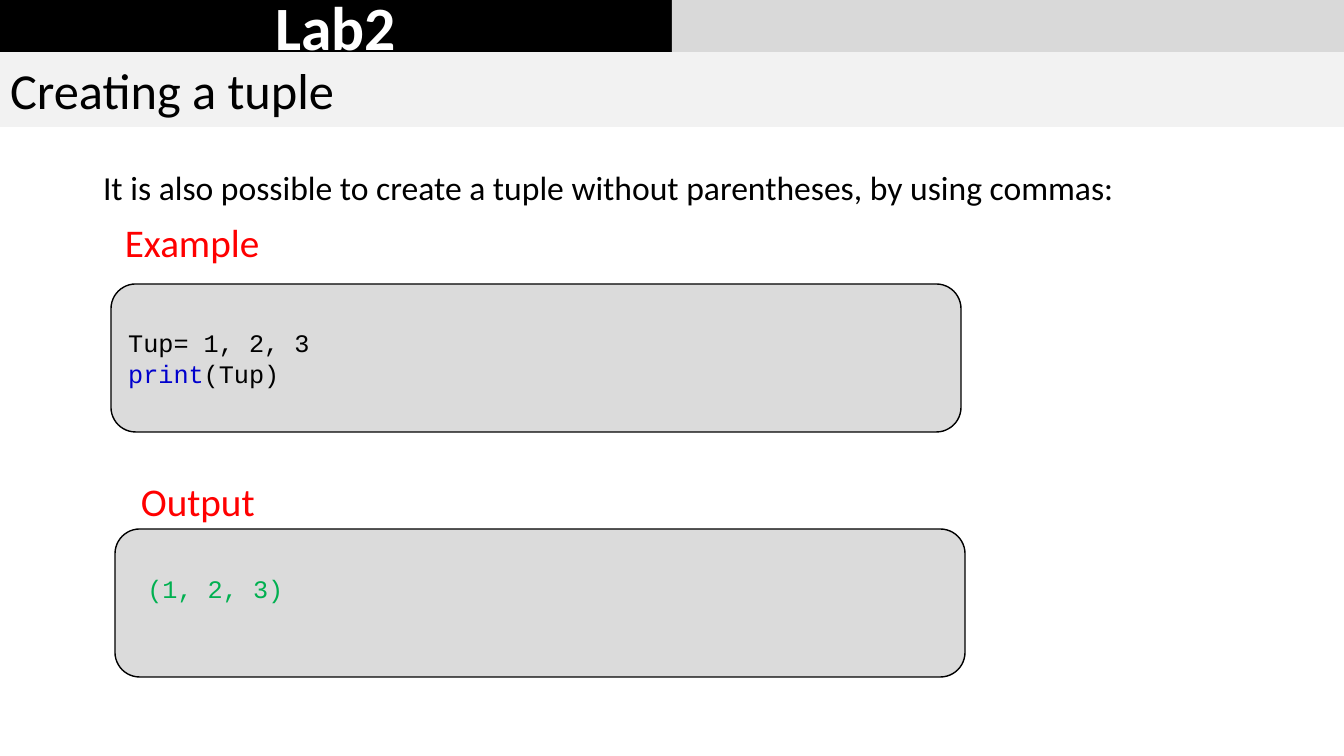
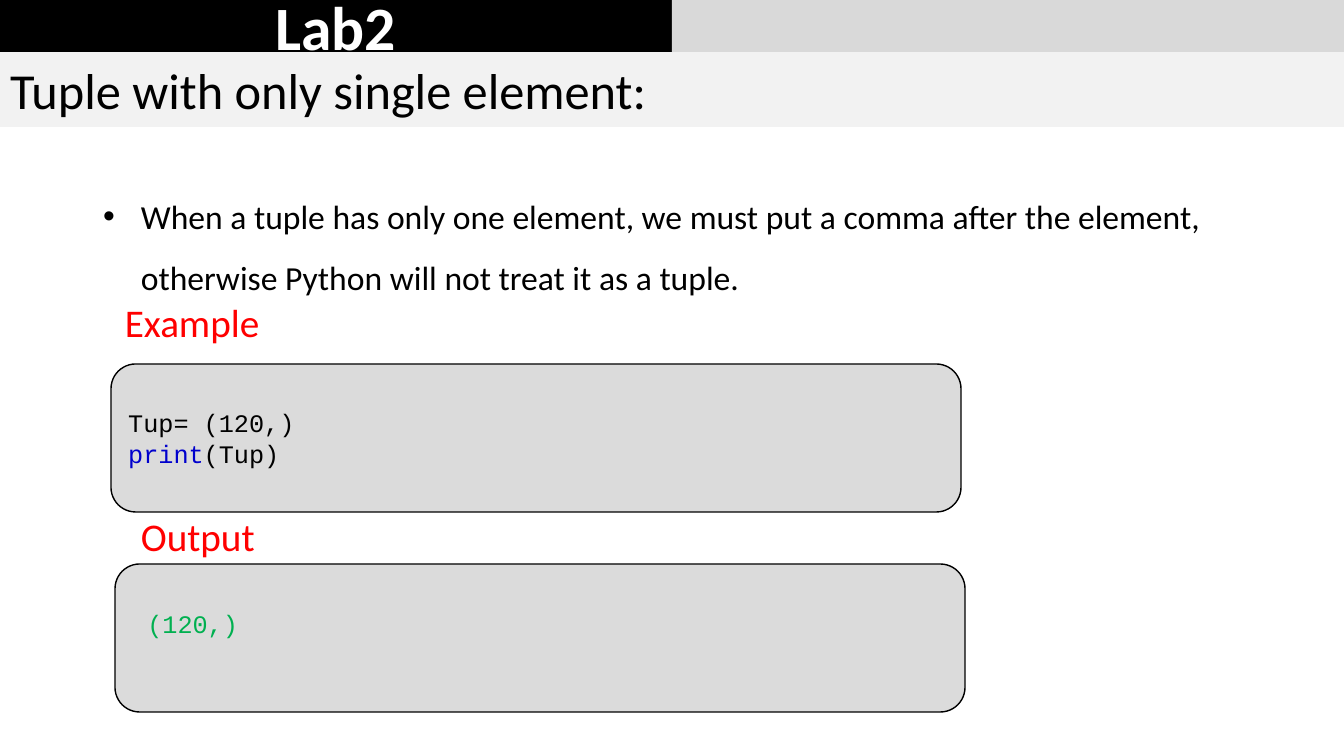
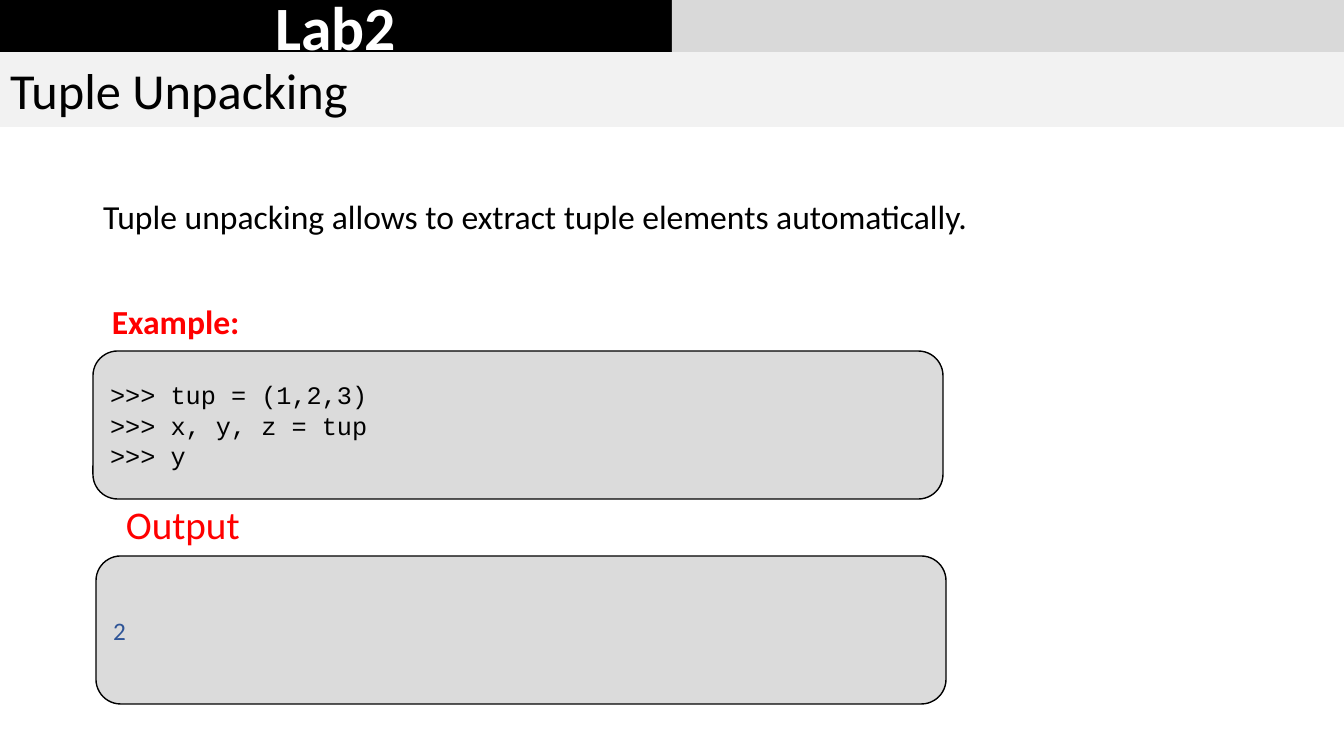
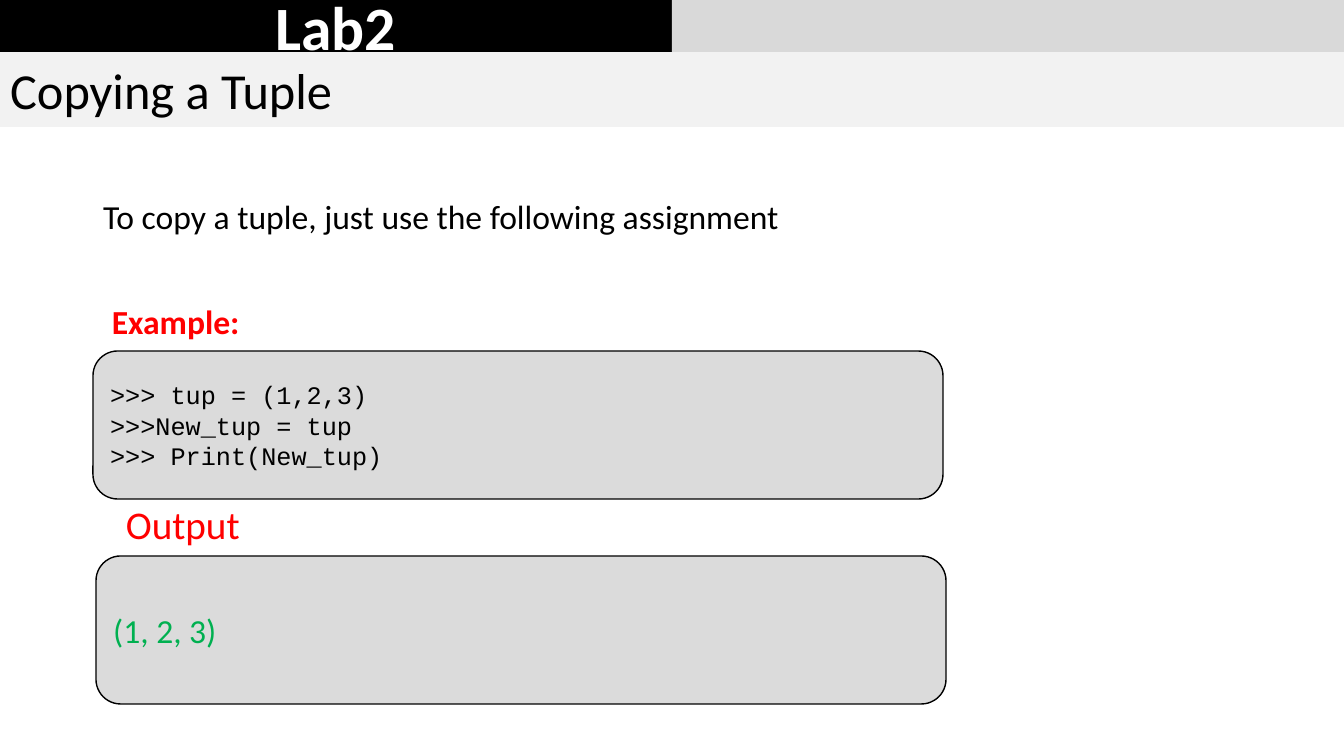
"""Build four slides on Python tuples: title bands, a sentence, code and output."""
from pptx import Presentation
from pptx.dml.color import RGBColor
from pptx.enum.shapes import MSO_SHAPE
from pptx.enum.text import MSO_ANCHOR, MSO_AUTO_SIZE, PP_ALIGN
from pptx.oxml.ns import qn
from pptx.util import Emu, Pt

BLACK = RGBColor(0x00, 0x00, 0x00)
WHITE = RGBColor(0xFF, 0xFF, 0xFF)
SILVER = RGBColor(0xD9, 0xD9, 0xD9)
PALE = RGBColor(0xF2, 0xF2, 0xF2)
GRAY = RGBColor(0xDB, 0xDB, 0xDB)
RED = RGBColor(0xFF, 0x00, 0x00)
BLUE = RGBColor(0x00, 0x00, 0xCD)
NAVY = RGBColor(0x2F, 0x55, 0x97)
GREEN = RGBColor(0x00, 0xB0, 0x50)

SCALE = 12192000 / 1344
WIDE, HIGH = 1344, 756
HALF, BAND, HEAD = 672, 52, 75
BOX_W, BOX_H = 850, 148
LINE = 30

BRAND = {"name": "Calibri", "size": Pt(44), "bold": True}
TITLE = {"name": "Calibri", "size": Pt(36), "bold": False}
LABEL = {"name": "Calibri", "size": Pt(28), "bold": False}
BODY = {"name": "Calibri", "size": Pt(24), "bold": False}
STRONG = {"name": "Calibri", "size": Pt(24), "bold": True}
SMALL = {"name": "Calibri", "size": Pt(18), "bold": False}
CODE = {"name": "Courier New", "size": Pt(18), "bold": False}


def px(num):
    """Turn px into EMU."""
    return Emu(round(num * SCALE))


class Deck:
    """Hold the style and the current slide."""

    def __init__(self):
        """Start an empty deck."""
        self.prs = Presentation()
        self.prs.slide_width, self.prs.slide_height = px(WIDE), px(HIGH)
        self.slide = None

    def place(self, shape, left, top, width, height):
        """Move and size a shape."""
        spot = {"left": left, "top": top, "width": width, "height": height}
        for key, val in spot.items():
            setattr(shape, key, px(val))

    def text(self, frame, lines, style, align=PP_ALIGN.LEFT):
        """Put lines of (words, colour) runs in a frame."""
        for num, line in enumerate(lines):
            para = frame.add_paragraph() if num else frame.paragraphs[0]
            para.alignment = align
            for words, color in line:
                run = para.add_run()
                run.text = words
                run.font.color.rgb = color
                for key, val in style.items():
                    setattr(run.font, key, val)

    def shape(self, kind, spot, fill, edge=None):
        """Add a filled shape."""
        item = self.slide.shapes.add_shape(kind, *map(px, spot))
        item.shadow.inherit = False
        item.fill.solid()
        item.fill.fore_color.rgb = fill
        if edge is None:
            item.line.fill.background()
        else:
            item.line.color.rgb = edge
            item.line.width = Pt(1)
        item.text_frame.vertical_anchor = MSO_ANCHOR.MIDDLE
        return item

    def page(self, title):
        """Start a slide with its bands and title."""
        self.slide = self.prs.slides.add_slide(self.prs.slide_layouts[1])
        brand = self.shape(MSO_SHAPE.RECTANGLE, (0, 0, HALF, BAND), BLACK)
        self.text(brand.text_frame, [[("Lab2", WHITE)]], BRAND, PP_ALIGN.CENTER)
        self.shape(MSO_SHAPE.RECTANGLE, (HALF, 0, HALF, BAND), SILVER)
        head = self.slide.shapes.title
        self.place(head, 0, BAND, WIDE, HEAD)
        head.fill.solid()
        head.fill.fore_color.rgb = PALE
        head.text_frame.auto_size = MSO_AUTO_SIZE.NONE
        head.text_frame.vertical_anchor = MSO_ANCHOR.MIDDLE
        self.text(head.text_frame, [[(title, BLACK)]], TITLE)

    def body(self, words, top=171, bullet=False):
        """Fill the body with one sentence."""
        item = self.slide.placeholders[1]
        self.place(item, 93, top, 1159, 651 - top)
        frame = item.text_frame
        frame.auto_size = MSO_AUTO_SIZE.NONE
        self.text(frame, [[(words, BLACK)]], BODY)
        para = frame.paragraphs[0]
        para.line_spacing = 1.5
        para.space_before = Pt(10)
        if not bullet:
            props = para._p.get_or_add_pPr()
            props.set("marL", "0")
            props.set("indent", "0")
            props.append(props.makeelement(qn("a:buNone"), {}))

    def label(self, words, left, top, width=165, style=LABEL):
        """Add a red label."""
        item = self.slide.shapes.add_textbox(px(left), px(top), px(width), px(57))
        item.text_frame.word_wrap = False
        self.text(item.text_frame, [[(words, RED)]], style)

    def panel(self, lines, left, top, style=CODE, lift=0):
        """Add a rounded panel, its text raised by half of lift lines."""
        spot = (left, top, BOX_W, BOX_H)
        item = self.shape(MSO_SHAPE.ROUNDED_RECTANGLE, spot, GRAY, BLACK)
        item.text_frame.margin_bottom = px(5 + lift * LINE)
        self.text(item.text_frame, lines, style)

    def sample(self, value, result, top, out):
        """Show a printed tuple and its output."""
        lines = [[(f"Tup= {value}", BLACK)], [("print", BLUE), ("(Tup)", BLACK)]]
        self.label("Example", 115, top - 71)
        self.panel(lines, 111, top)
        self.label("Output", 131, out - 57, 135)
        self.panel([[(f" {result}", GREEN)]], 115, out, lift=1)

    def shell(self, lines, result, color, style):
        """Show a shell session and its output."""
        self.label("Example:", 102, 296, 1100, STRONG)
        self.panel([[(line, BLACK)] for line in lines], 93, 351)
        self.panel([[(result, color)]], 96, 556, style)
        self.label("Output", 116, 495, 135)


def main():
    """Build and save the deck."""
    deck = Deck()

    deck.page("Creating a tuple")
    deck.body("It is also possible to create a tuple without parentheses, "
              "by using commas:", top=142)
    deck.sample("1, 2, 3", "(1, 2, 3)", 284, 529)

    deck.page("Tuple with only single element:")
    deck.body("When a tuple has only one element, we must put a comma after the "
              "element, otherwise Python will not treat it as a tuple.", bullet=True)
    deck.sample("(120,)", "(120,)", 364, 564)

    deck.page("Tuple Unpacking")
    deck.body("Tuple unpacking allows to extract tuple elements automatically.")
    deck.shell([">>> tup = (1,2,3)", ">>> x, y, z = tup", ">>> y"], "2", NAVY, SMALL)

    deck.page("Copying a Tuple")
    deck.body("To copy a tuple, just use the following assignment")
    deck.shell([">>> tup = (1,2,3)", ">>>New_tup = tup", ">>> Print(New_tup)"],
               "(1, 2, 3)", GREEN, BODY)

    deck.prs.save("out.pptx")


if __name__ == "__main__":
    main()
